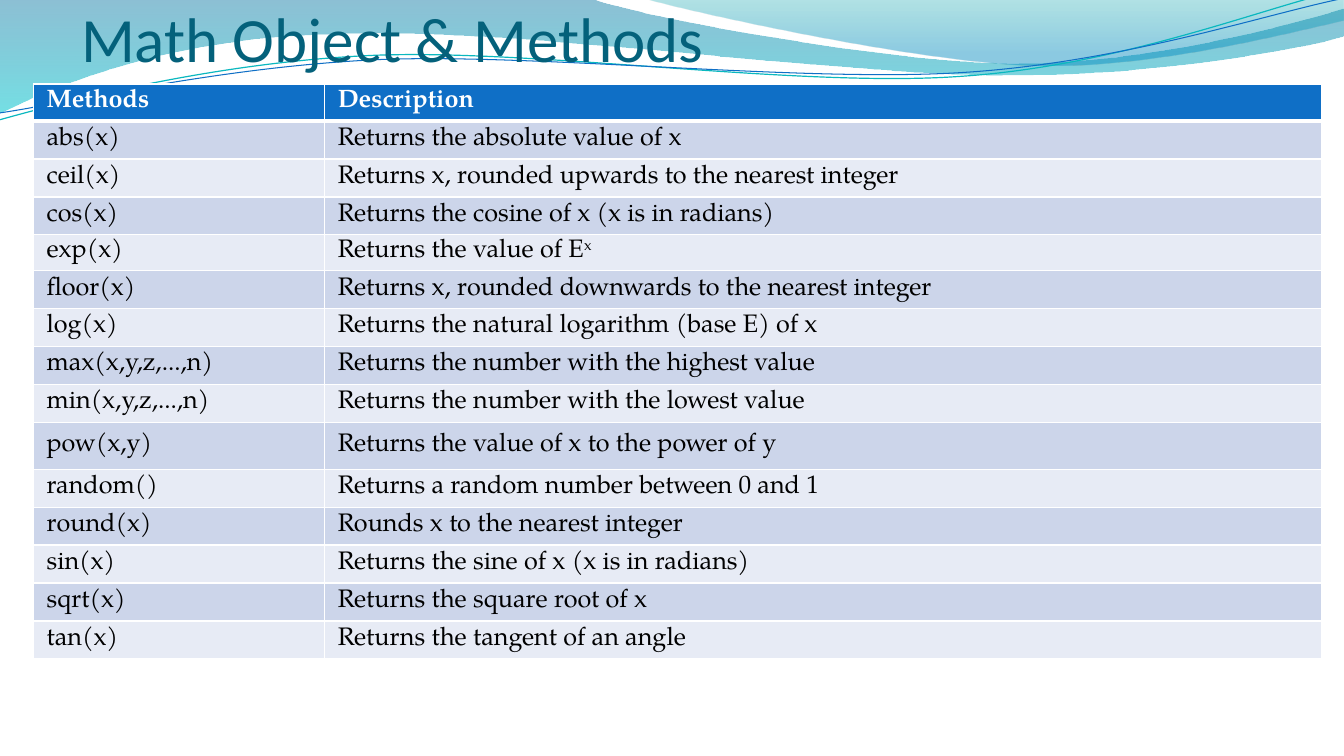
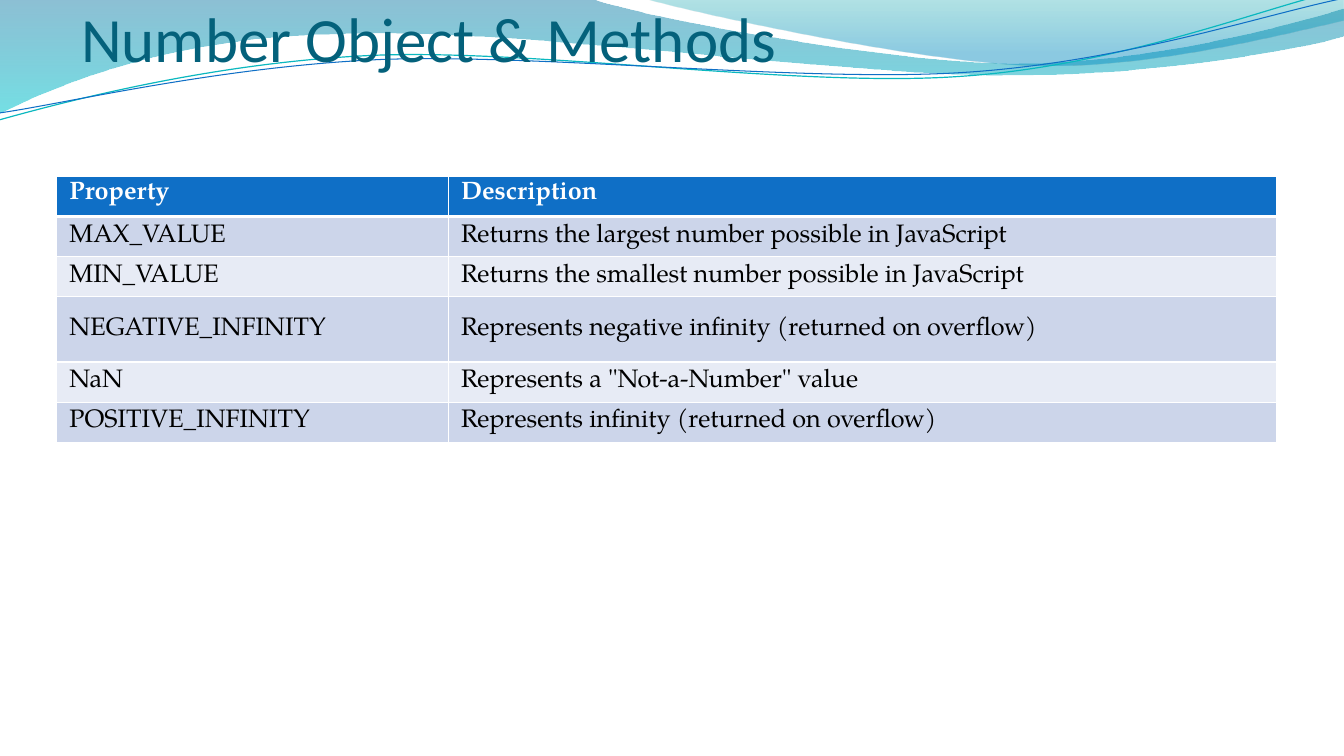
from dataclasses import dataclass
from lxml.etree import SubElement
from pptx import Presentation
from pptx.dml.color import RGBColor
from pptx.enum.text import MSO_ANCHOR as Anchor
from pptx.oxml.ns import qn
from pptx.util import Pt


# Theme
@dataclass(frozen=True)
class Theme:
    title_font: str = "Calibri"
    body_font: str = "TeX Gyre Pagella"
    title_size: float = 45
    body_size: float = 18
    title: str = "04617B"
    header: str = "0F6FC6"
    header_text: str = "FFFFFF"
    body_text: str = "000000"
    border: str = "FFFFFF"
    bands: tuple = ("CCD5EA", "E7EBF5")
    aqua_line: str = "0AB8BF"
    blue_line: str = "0F6FC6"
    # Gradient stops: position, colour, opacity in percent
    wide_wave: tuple = ((0, "0074A1", 45), (1, "00C6CF", 55))
    right_wave: tuple = ((0, "00A1A9", 30), (0.8, "008BBF", 45))


THEME = Theme()

# Content: "^" starts a superscript; odd_rows gives the rows with their own height
SLIDES = [
    dict(
        title="Math Object & Methods",
        left=24, top=60, columns=(208, 712), row=27.1,
        odd_rows={0: 26.5, 3: 26.6, 4: 25.9, 9: 33.6},
        rows=[
            ("Methods", "Description"),
            ("abs(x)", "Returns the absolute value of x"),
            ("ceil(x)", "Returns x, rounded upwards to the nearest integer"),
            ("cos(x)", "Returns the cosine of x (x is in radians)"),
            ("exp(x)", "Returns the value of E^x"),
            ("floor(x)", "Returns x, rounded downwards to the nearest integer"),
            ("log(x)", "Returns the natural logarithm (base E) of x"),
            ("max(x,y,z,...,n)", "Returns the number with the highest value"),
            ("min(x,y,z,...,n)", "Returns the number with the lowest value"),
            ("pow(x,y)", "Returns the value of x to the power of y"),
            ("random()", "Returns a random number between 0 and 1"),
            ("round(x)", "Rounds x to the nearest integer"),
            ("sin(x)", "Returns the sine of x (x is in radians)"),
            ("sqrt(x)", "Returns the square root of x"),
            ("tan(x)", "Returns the tangent of an angle"),
        ],
    ),
    dict(
        title="Number Object & Methods",
        left=40.3, top=126, columns=(279.8, 591.8), row=28.7, odd_rows={3: 46.5},
        rows=[
            ("Property", "Description"),
            ("MAX_VALUE", "Returns the largest number possible in JavaScript"),
            ("MIN_VALUE", "Returns the smallest number possible in JavaScript"),
            ("NEGATIVE_INFINITY", "Represents negative infinity (returned on overflow)"),
            ("NaN", "Represents a \"Not-a-Number\" value"),
            ("POSITIVE_INFINITY", "Represents infinity (returned on overflow)"),
        ],
    ),
]

# Header waves: a start point, then corners (x, y) or curves (two controls, end)
WIDE_WAVE = [
    (0, 0), (422.6, -0.7),
    (456.5, 12.2, 637.2, 45.4, 727.9, 45.4), (819.4, 45.4, 920.2, 18.7, 959.8, 6.5),
    (961.2, 25.9),
    (943.9, 31.7, 835.2, 54.7, 715.7, 54), (596.9, 54, 366.5, 20.2, 247, 24.5),
    (123.8, 25.9, 43.9, 59.8, -0.7, 81.4), (0, 0),
]
RIGHT_WAVE = [
    (460, -0.7), (488.9, 7.9, 654.5, 44.6, 738, 46.8),
    (821.5, 49.7, 923, 23, 959.8, 15.1), (959.8, 0), (460, -0.7),
]
AQUA_CURVE = [
    (-0.7, 85.7), (46.1, 72.7, 151.9, 44.6, 265.7, 39.6),
    (379.4, 34.6, 568.8, 62.6, 684, 54.7), (799.2, 47.5, 901.4, 5.8, 958.3, -7.2),
]
BLUE_CURVE = [
    (0, 80.6), (45.4, 74.2, 157, 47.5, 272.2, 42.5),
    (386.6, 38.2, 573.1, 59, 687.6, 51.8), (802.8, 44.6, 903.6, 10.1, 960.5, -1.4),
]


def rgb(colour):
    return RGBColor.from_string(colour)


# Waves
def add_outline(slide, outline, close):
    """Draw the end points as a freeform, then bend the curved segments."""
    start, *parts = outline
    builder = slide.shapes.build_freeform(Pt(start[0]), Pt(start[1]))
    builder.add_line_segments([(Pt(p[-2]), Pt(p[-1])) for p in parts], close=close)
    shape = builder.convert_to_shape()
    shape.shadow.inherit = False
    segments = list(shape.element.iter(qn("a:lnTo")))
    for segment, part in zip(segments, parts):
        if len(part) == 2:
            continue
        bend = SubElement(segment.getparent(), qn("a:cubicBezTo"))
        for x, y in zip(part[::2], part[1::2]):
            SubElement(bend, qn("a:pt"),
                       x=str(Pt(x) - shape.left), y=str(Pt(y) - shape.top))
        segment.getparent().replace(segment, bend)
    return shape


def add_wave(slide, outline, stops):
    wave = add_outline(slide, outline, close=True)
    wave.line.fill.background()
    wave.fill.gradient()
    wave.fill.gradient_angle = 270
    for stop, (position, colour, _) in zip(wave.fill.gradient_stops, stops):
        stop.position = position
        stop.color.rgb = rgb(colour)
    for node, (_, _, opacity) in zip(wave.element.iter(qn("a:srgbClr")), stops):
        SubElement(node, qn("a:alpha"), val=str(opacity * 1000))


def add_curve(slide, outline, colour, width):
    curve = add_outline(slide, outline, close=False)
    curve.fill.background()
    curve.line.color.rgb = rgb(colour)
    curve.line.width = Pt(width)


def add_header_waves(slide):
    add_wave(slide, WIDE_WAVE, THEME.wide_wave)
    add_wave(slide, RIGHT_WAVE, THEME.right_wave)
    add_curve(slide, AQUA_CURVE, THEME.aqua_line, 0.85)
    add_curve(slide, BLUE_CURVE, THEME.blue_line, 0.75)


# Text
def add_run(paragraph, text, font, size, colour, bold=False):
    run = paragraph.add_run()
    run.text = text
    run.font.name = font
    run.font.size = Pt(size)
    run.font.bold = bold
    run.font.color.rgb = rgb(colour)
    return run


def add_title(slide, text):
    frame = slide.shapes.add_textbox(Pt(48), Pt(0), Pt(864), Pt(54)).text_frame
    frame.word_wrap = True
    frame.vertical_anchor = Anchor.BOTTOM
    frame.margin_left, frame.margin_top = Pt(10), Pt(3.6)
    frame.margin_right = frame.margin_bottom = 0
    add_run(frame.paragraphs[0], text, THEME.title_font, THEME.title_size, THEME.title)


# Tables
def set_borders(cell, top, bottom):
    properties = cell._tc.get_or_add_tcPr()
    widths = {"a:lnL": 1, "a:lnR": 1, "a:lnT": top, "a:lnB": bottom}
    for position, (side, width) in enumerate(widths.items()):
        border = SubElement(properties, qn(side), w=str(Pt(width)))
        fill = SubElement(border, qn("a:solidFill"))
        SubElement(fill, qn("a:srgbClr"), val=THEME.border)
        properties.insert(position, border)


def fill_cell(cell, text, is_header, fill):
    cell.fill.solid()
    cell.fill.fore_color.rgb = rgb(fill)
    cell.margin_left = cell.margin_right = Pt(9.3)
    cell.margin_top = Pt(3.6 if is_header else 2)
    cell.margin_bottom = Pt(1 if is_header else 2)
    cell.vertical_anchor = Anchor.TOP if is_header else Anchor.MIDDLE
    colour = THEME.header_text if is_header else THEME.body_text
    style = (THEME.body_font, THEME.body_size, colour, is_header)
    paragraph = cell.text_frame.paragraphs[0]
    base, _, power = text.partition("^")
    add_run(paragraph, base, *style)
    if power:
        raised = add_run(paragraph, power, *style)
        raised.font._element.set("baseline", "30000")


def add_reference_table(slide, content):
    rows, columns = content["rows"], content["columns"]
    heights = [content["odd_rows"].get(i, content["row"]) for i in range(len(rows))]
    table = slide.shapes.add_table(
        len(rows), len(columns), Pt(content["left"]), Pt(content["top"]),
        Pt(sum(columns)), Pt(sum(heights))).table
    for column, width in zip(table.columns, columns):
        column.width = Pt(width)
    for i, (texts, height) in enumerate(zip(rows, heights)):
        table.rows[i].height = Pt(height)
        fill = THEME.bands[(i - 1) % 2] if i else THEME.header
        for j, text in enumerate(texts):
            cell = table.cell(i, j)
            fill_cell(cell, text, i == 0, fill)
            set_borders(cell, top=3 if i == 1 else 1, bottom=1 if i else 3)


def main():
    deck = Presentation()
    deck.slide_width, deck.slide_height = Pt(960), Pt(540)
    for content in SLIDES:
        slide = deck.slides.add_slide(deck.slide_layouts[6])
        add_header_waves(slide)
        add_title(slide, content["title"])
        add_reference_table(slide, content)
    deck.save("out.pptx")


if __name__ == "__main__":
    main()
